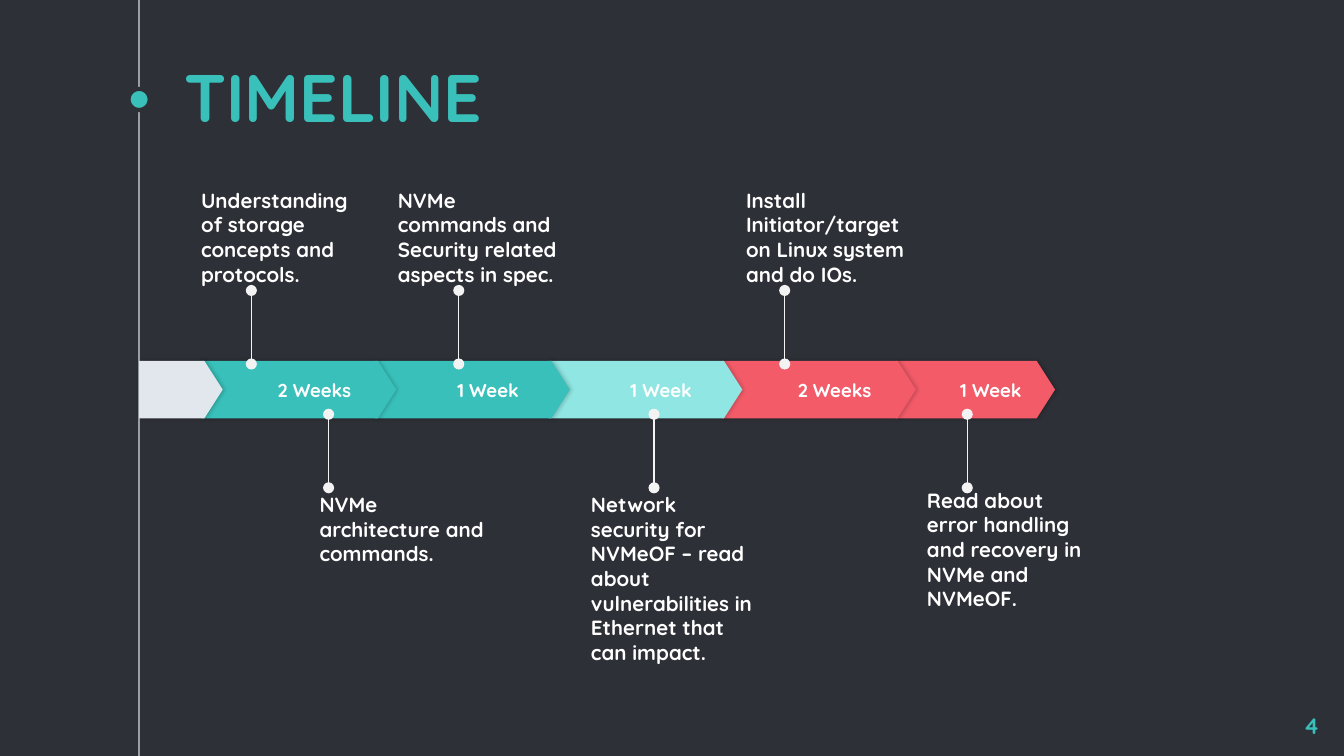
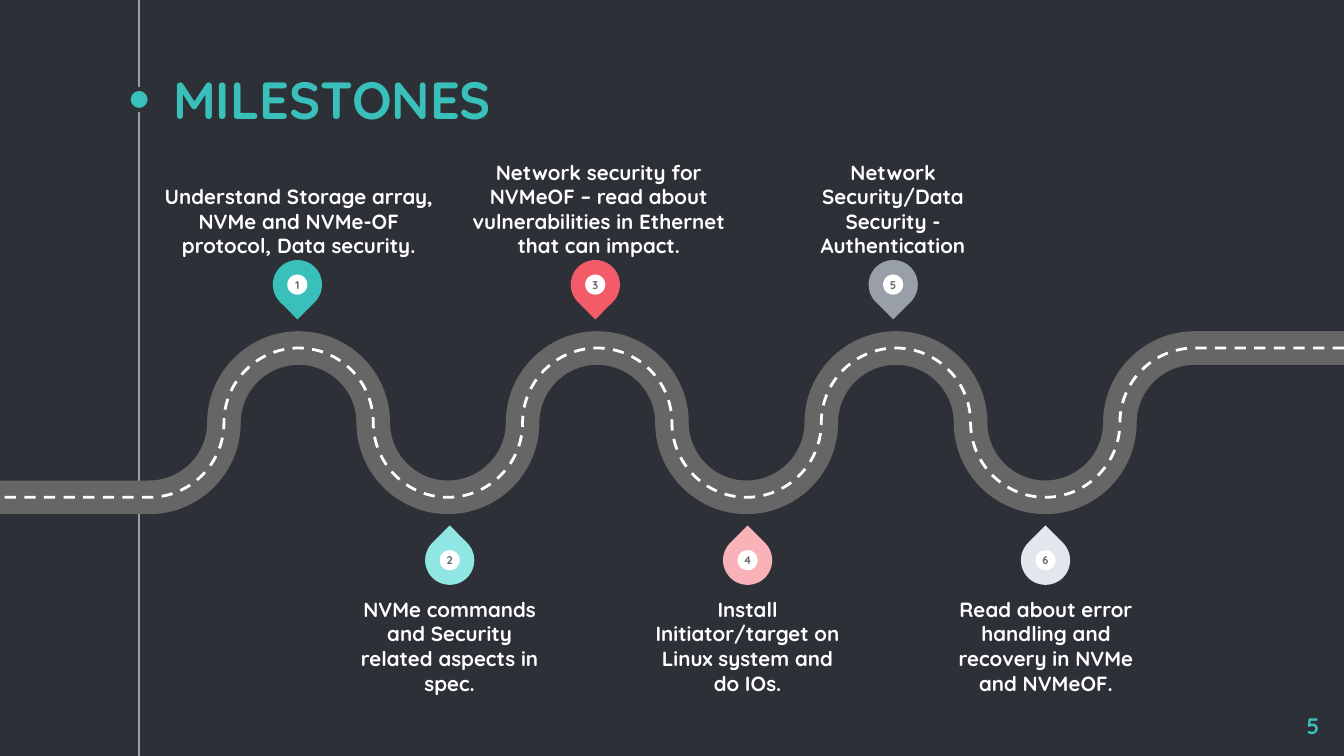
from dataclasses import dataclass
from itertools import pairwise

from lxml.etree import SubElement
from pptx import Presentation
from pptx.dml.color import RGBColor
from pptx.enum.dml import MSO_LINE
from pptx.enum.shapes import MSO_CONNECTOR, MSO_SHAPE
from pptx.enum.text import MSO_ANCHOR, MSO_AUTO_SIZE, PP_ALIGN
from pptx.oxml.ns import qn
from pptx.util import Cm, Pt

NIGHT = RGBColor(0x2E, 0x30, 0x37)
TEAL = RGBColor(0x39, 0xC0, 0xBA)
AQUA = RGBColor(0x90, 0xE6, 0xE2)
CORAL = RGBColor(0xF3, 0x5B, 0x69)
ROSE = RGBColor(0xFA, 0xB2, 0xB9)
STEEL = RGBColor(0x99, 0x9F, 0xA9)
MIST = RGBColor(0xE2, 0xE7, 0xEE)
PEARL = RGBColor(0xF3, 0xF3, 0xF3)
ASPHALT = RGBColor(0x66, 0x66, 0x66)
WHITE = RGBColor(0xFF, 0xFF, 0xFF)

FONT = "Quicksand"
WIDE, HIGH = 25.4, 14.29
RAIL = 2.63
NOTE_H = 1.88

# Timeline bar
BAR_TOP, BAR_H = 6.82, 1.09
BAR_LEFT, BAR_STEP = 3.81, 3.28

# Winding road: quarter bends, each an eighteenth of the slide width
BEND = WIDE / 18
ROAD_MID = 7.99
ROUND = 0.55  # handle length of a quarter circle


@dataclass(frozen=True)
class Phase:
    label: str
    width: float
    color: RGBColor


@dataclass(frozen=True)
class Task:
    text: str
    left: float
    top: float
    pin: float
    height: float = NOTE_H


@dataclass(frozen=True)
class Stop:
    """A numbered pin with its note; odd ones stand above the road."""
    text: str
    color: RGBColor
    left: float
    width: float = 3.58
    height: float = NOTE_H


PHASES = [
    Phase("2 Weeks", 3.68, TEAL),
    Phase("1 Week", 3.68, TEAL),
    Phase("1 Week", 3.66, AQUA),
    Phase("2 Weeks", 3.66, CORAL),
    Phase("1 Week", 3.01, CORAL),
]

TASKS = [
    Task("Understanding of storage concepts and protocols.", 3.8, 3.53, 4.75),
    Task("NVMe commands and Security related aspects in spec.", 7.52, 3.53, 8.67),
    Task("Install Initiator/target on Linux system and do IOs.", 14.1, 3.53, 14.83),
    Task("Read about error handling and recovery in NVMe and NVMeOF.",
         17.52, 9.22, 18.28, 2.36),
    Task("NVMe architecture and commands.", 6.04, 9.3, 6.21, 1.47),
    Task("Network security for NVMeOF – read about vulnerabilities in "
         "Ethernet that can impact.", 11.17, 9.3, 12.36, 3.3),
]

STOPS = [
    Stop("Understand Storage array, NVMe and NVMe-OF protocol, Data security.",
         TEAL, 3.02, 5.26, 1.42),
    Stop("NVMe commands and Security related aspects in spec.", AQUA, 6.71),
    Stop("Network security for NVMeOF – read about vulnerabilities in "
         "Ethernet that can impact.", CORAL, 8.69, 5.26),
    Stop("Install Initiator/target on Linux system and do IOs.", ROSE, 12.34),
    Stop("Network Security/Data Security - Authentication", STEEL, 15.09),
    Stop("Read about error handling and recovery in NVMe and NVMeOF.", MIST, 17.98),
]


def write(shape, text: str, size: float, color: RGBColor, align=PP_ALIGN.LEFT,
          anchor=MSO_ANCHOR.TOP, inset: float = 0) -> None:
    frame = shape.text_frame
    frame.text = text
    frame.word_wrap = True
    frame.auto_size = MSO_AUTO_SIZE.NONE
    frame.vertical_anchor = anchor
    frame.margin_left = frame.margin_right = Cm(inset)
    frame.margin_top = frame.margin_bottom = Cm(inset)
    for para in frame.paragraphs:
        para.alignment = align
        for run in para.runs:
            run.font.name = FONT
            run.font.size = Pt(size)
            run.font.bold = True
            run.font.color.rgb = color


def add_text(slide, text: str, left: float, top: float, width: float,
             height: float, size: float = 11, color: RGBColor = WHITE, **look) -> None:
    box = slide.shapes.add_textbox(Cm(left), Cm(top), Cm(width), Cm(height))
    write(box, text, size, color, **look)


def add_solid(shapes, kind, left: float, top: float, width: float,
              height: float, color: RGBColor):
    """Add a flat preset shape without outline or shadow."""
    shape = shapes.add_shape(kind, Cm(left), Cm(top), Cm(width), Cm(height))
    shape.shadow.inherit = False
    shape.fill.solid()
    shape.fill.fore_color.rgb = color
    shape.line.fill.background()
    return shape


def add_line(slide, x: float, start: float, end: float, color: RGBColor,
             ovals: bool = False) -> None:
    """Add a thin upright line, with round ends if asked."""
    line = slide.shapes.add_connector(
        MSO_CONNECTOR.STRAIGHT, Cm(x), Cm(start), Cm(x), Cm(end))
    line.line.color.rgb = color
    line.line.width = Pt(0.75)
    props = line.element.spPr
    if ovals:
        for tag in ("a:headEnd", "a:tailEnd"):
            SubElement(props.find(qn("a:ln")), qn(tag), type="oval")
    SubElement(props, qn("a:effectLst"))


def add_shade(shape) -> None:
    """Cast a faint soft shadow to the right."""
    effects = shape.element.spPr.find(qn("a:effectLst"))
    outer = SubElement(effects, qn("a:outerShdw"), blurRad=str(Pt(2.2)),
                       dist=str(Pt(0.8)), dir="0", algn="l", rotWithShape="0")
    tint = SubElement(outer, qn("a:srgbClr"), val="000000")
    SubElement(tint, qn("a:alpha"), val="20000")


def add_page(deck, title: str, number: int, left: float, top: float,
             height: float, size: float):
    """Add a slide with the rail, its dot, the title and the page number."""
    slide = deck.slides.add_slide(deck.slide_layouts[5])
    add_line(slide, RAIL, 0, HIGH, STEEL)
    dot = add_solid(slide.shapes, MSO_SHAPE.OVAL, 2.43, 1.68, 0.4, 0.4, TEAL)
    dot.line.color.rgb = NIGHT
    dot.line.width = Pt(2.25)
    head = slide.shapes.title
    head.left, head.top = Cm(left), Cm(top)
    head.width, head.height = Cm(19.05), Cm(height)
    write(head, title, size, TEAL, anchor=MSO_ANCHOR.BOTTOM, inset=0.25)
    add_text(slide, str(number), 23.67, 13.21, 1.52, 0.86, 12, TEAL,
             align=PP_ALIGN.RIGHT, inset=0.25)
    return slide


def add_plate(slide, left: float, width: float, color: RGBColor, label: str = "") -> None:
    plate = add_solid(slide.shapes, MSO_SHAPE.PENTAGON, left, BAR_TOP, width, BAR_H, color)
    plate.adjustments[0] = 0.32
    add_shade(plate)
    if label:
        write(plate, label, 10, WHITE, PP_ALIGN.CENTER, MSO_ANCHOR.MIDDLE)
        plate.text_frame.margin_left = Cm(0.76)


def add_task(slide, task: Task) -> None:
    above = task.top < BAR_TOP
    start, end = (6.88, 5.49) if above else (9.22, 7.83)
    add_line(slide, task.pin, start, end, PEARL, True)
    add_text(slide, task.text, task.left, task.top, 3.12, task.height,
             anchor=MSO_ANCHOR.BOTTOM if above else MSO_ANCHOR.TOP)


def road_points() -> list[tuple[int, int]]:
    """List the ends of the road's parts, from right to left."""
    top, low = ROAD_MID - BEND, ROAD_MID + BEND
    levels = (top, ROAD_MID, low, ROAD_MID)
    bends = [(n * BEND, levels[n % 4]) for n in range(16, 1, -1)]
    return [(Cm(x), Cm(y)) for x, y in [(WIDE, top), *bends, (0, low)]]


def curve(road, points: list[tuple[int, int]]) -> None:
    """Turn each sloping segment into a quarter circle."""
    segments = list(road.element.iter(qn("a:lnTo")))
    x_min, y_min = (min(axis) for axis in zip(*points))
    for index, ((x0, y0), (x1, y1)) in enumerate(pairwise(points)):
        if y0 == y1:
            continue
        dx, dy = ROUND * (x1 - x0), ROUND * (y1 - y0)
        if index % 2:  # leaves level, arrives upright
            handles = [(x0 + dx, y0), (x1, y1 - dy)]
        else:
            handles = [(x0, y0 + dy), (x1 - dx, y1)]
        segment = segments[index]
        segment.tag = qn("a:cubicBezTo")
        for place, (x, y) in enumerate(handles):
            point = SubElement(segment, qn("a:pt"),
                               x=str(round(x - x_min)), y=str(round(y - y_min)))
            segment.insert(place, point)


def add_road(slide, color: RGBColor, width: float, dash=None) -> None:
    points = road_points()
    pen = slide.shapes.build_freeform(*points[0])
    pen.add_line_segments(points[1:], close=False)
    road = pen.convert_to_shape()
    curve(road, points)
    road.shadow.inherit = False
    road.fill.background()
    road.line.color.rgb = color
    road.line.width = Pt(width)
    if dash:
        road.line.dash_style = dash


def add_pin(slide, number: int, color: RGBColor) -> None:
    above = number % 2 == 1
    first, level = (5.62, 5.38) if above else (8.5, 10.59)
    mid = first + (number - 1) // 2 * 5.63
    group = slide.shapes.add_group_shape().shapes

    def centred(kind, size: float, tint: RGBColor):
        return add_solid(group, kind, mid - size / 2, level - size / 2, size, size, tint)

    centred(MSO_SHAPE.TEAR, 0.93, color).rotation = 135 if above else 315
    disc = centred(MSO_SHAPE.OVAL, 0.38, WHITE)
    write(disc, str(number), 6, ASPHALT, PP_ALIGN.CENTER, MSO_ANCHOR.MIDDLE)


def add_note(slide, number: int, stop: Stop) -> None:
    above = number % 2 == 1
    top = 4.88 - stop.height if above else 11.28
    add_text(slide, stop.text, stop.left, top, stop.width, stop.height,
             align=PP_ALIGN.CENTER,
             anchor=MSO_ANCHOR.BOTTOM if above else MSO_ANCHOR.TOP)


def add_timeline(deck) -> None:
    slide = add_page(deck, "TIMELINE", 4, 3.23, 0.94, 1.88, 36)
    for index, phase in reversed(list(enumerate(PHASES))):
        add_plate(slide, BAR_LEFT + index * BAR_STEP, phase.width, phase.color, phase.label)
    add_plate(slide, RAIL, 1.58, MIST)
    for task in TASKS:
        add_task(slide, task)


def add_milestones(deck) -> None:
    slide = add_page(deck, "MILESTONES", 5, 3.02, 1.0, 1.7, 28)
    add_road(slide, ASPHALT, 18)
    add_road(slide, WHITE, 1.5, MSO_LINE.DASH)
    for number, stop in enumerate(STOPS, 1):
        add_pin(slide, number, stop.color)
        add_note(slide, number, stop)


def main() -> None:
    deck = Presentation()
    deck.slide_width, deck.slide_height = Cm(WIDE), Cm(HIGH)
    back = deck.slide_master.background.fill
    back.solid()
    back.fore_color.rgb = NIGHT
    add_timeline(deck)
    add_milestones(deck)
    deck.save("out.pptx")


if __name__ == "__main__":
    main()
